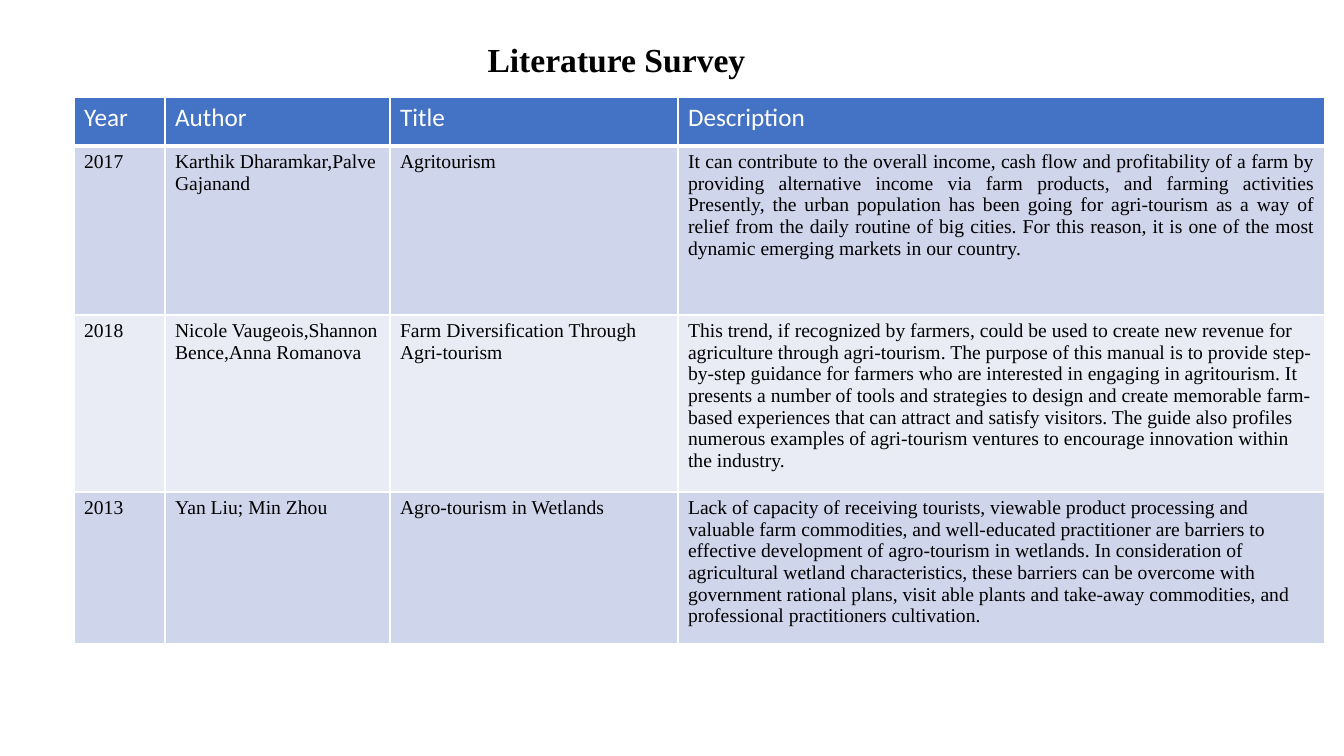
from lxml.etree import SubElement
from pptx import Presentation
from pptx.dml.color import RGBColor
from pptx.enum.text import MSO_ANCHOR as Anchor, PP_ALIGN as Align
from pptx.oxml.ns import qn
from pptx.util import Pt

EMU_PER_PX = 914400 / 100.8
COLUMN_WIDTHS = [91, 225, 288, 647]
ROW_HEIGHTS = [49, 169, 177, 140]
HEADER_FILL, BAND_FILLS = "4472C4", ["CFD5EA", "E9EBF5"]
BORDER = "FFFFFF"

TITLE_FONT = {"name": "Times New Roman", "size": Pt(24), "bold": True}
HEADER_FONT = {"name": "Calibri", "size": Pt(18), "bold": False}
BODY_FONT = {"name": "Times New Roman", "size": Pt(14), "bold": False}

HEADINGS = ["Year", "Author", "Title", "Description"]
SURVEY = [
    ["2017", "Karthik Dharamkar,Palve Gajanand", "Agritourism",
     "It can contribute to the overall income, cash flow and profitability of a farm by "
     "providing alternative income via farm products, and farming activities Presently, "
     "the urban population has been going for agri-tourism as a way of relief from the "
     "daily routine of big cities. For this reason, it is one of the most dynamic "
     "emerging markets in our country."],
    ["2018", "Nicole Vaugeois,Shannon Bence,Anna Romanova",
     "Farm Diversification Through Agri-tourism",
     "This trend, if recognized by farmers, could be used to create new revenue for "
     "agriculture through agri‐tourism. The purpose of this manual is to provide "
     "step‐by‐step guidance for farmers who are interested in engaging in agritourism. "
     "It presents a number of tools and strategies to design and create memorable "
     "farm‐based experiences that can attract and satisfy visitors. The guide also "
     "profiles numerous examples of agri‐tourism ventures to encourage innovation "
     "within the industry."],
    ["2013", "Yan Liu; Min Zhou", "Agro-tourism in Wetlands",
     "Lack of capacity of receiving tourists, viewable product processing and valuable "
     "farm commodities, and well-educated practitioner are barriers to effective "
     "development of agro-tourism in wetlands. In consideration of agricultural wetland "
     "characteristics, these barriers can be overcome with government rational plans, "
     "visit able plants and take-away commodities, and professional practitioners "
     "cultivation."],
]


def px(length):
    return round(length * EMU_PER_PX)


def rgb(hex_code):
    return RGBColor.from_string(hex_code)


def write(frame, words, font_values, color, align=Align.LEFT):
    paragraph = frame.paragraphs[0]
    paragraph.alignment = align
    run = paragraph.add_run()
    run.text = words
    for attribute, value in font_values.items():
        setattr(run.font, attribute, value)
    run.font.color.rgb = rgb(color)
    return paragraph


def add_title(slide, words):
    title = slide.shapes.add_textbox(px(125), px(12), px(983), px(100))
    frame = title.text_frame
    frame.word_wrap = True
    frame.vertical_anchor = Anchor.MIDDLE
    write(frame, words, TITLE_FONT, "000000", Align.CENTER).line_spacing = 0.9


def set_borders(cell, top, bottom):
    """Draw the four cell edges; must run before the cell gets its fill."""
    properties = cell._tc.get_or_add_tcPr()
    for side, points in {"L": 1, "R": 1, "T": top, "B": bottom}.items():
        line = SubElement(properties, qn(f"a:ln{side}"), w=str(Pt(points)))
        SubElement(SubElement(line, qn("a:solidFill")), qn("a:srgbClr"), val=BORDER)


def add_survey_table(slide, rows):
    table = slide.shapes.add_table(
        len(rows), len(COLUMN_WIDTHS), px(74), px(97),
        px(sum(COLUMN_WIDTHS)), px(sum(ROW_HEIGHTS))).table
    for column, width in zip(table.columns, COLUMN_WIDTHS):
        column.width = px(width)
    for row, height in zip(table.rows, ROW_HEIGHTS):
        row.height = px(height)

    for r, entries in enumerate(rows):
        is_header = r == 0
        fill = HEADER_FILL if is_header else BAND_FILLS[(r - 1) % 2]
        font, color = (HEADER_FONT, "FFFFFF") if is_header else (BODY_FONT, "000000")
        for c, words in enumerate(entries):
            cell = table.cell(r, c)
            set_borders(cell, top=3 if r == 1 else 1, bottom=3 if is_header else 1)
            cell.fill.solid()
            cell.fill.fore_color.rgb = rgb(fill)
            justified = r == 1 and HEADINGS[c] == "Description"
            write(cell.text_frame, words, font, color,
                  Align.JUSTIFY if justified else Align.LEFT)


def main():
    deck = Presentation()
    deck.slide_width, deck.slide_height = px(1344), px(756)
    slide = deck.slides.add_slide(deck.slide_layouts[6])
    add_title(slide, "Literature Survey")
    add_survey_table(slide, [HEADINGS, *SURVEY])
    deck.save("out.pptx")


if __name__ == "__main__":
    main()
